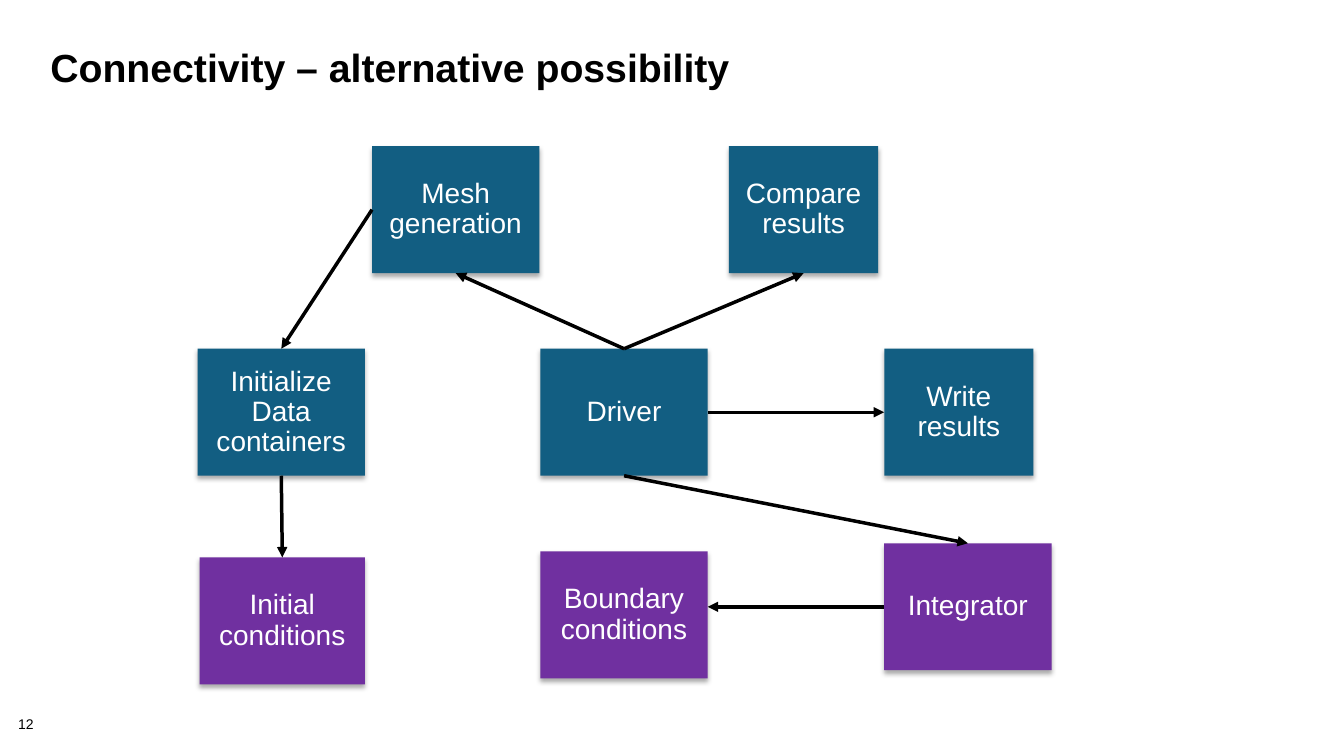
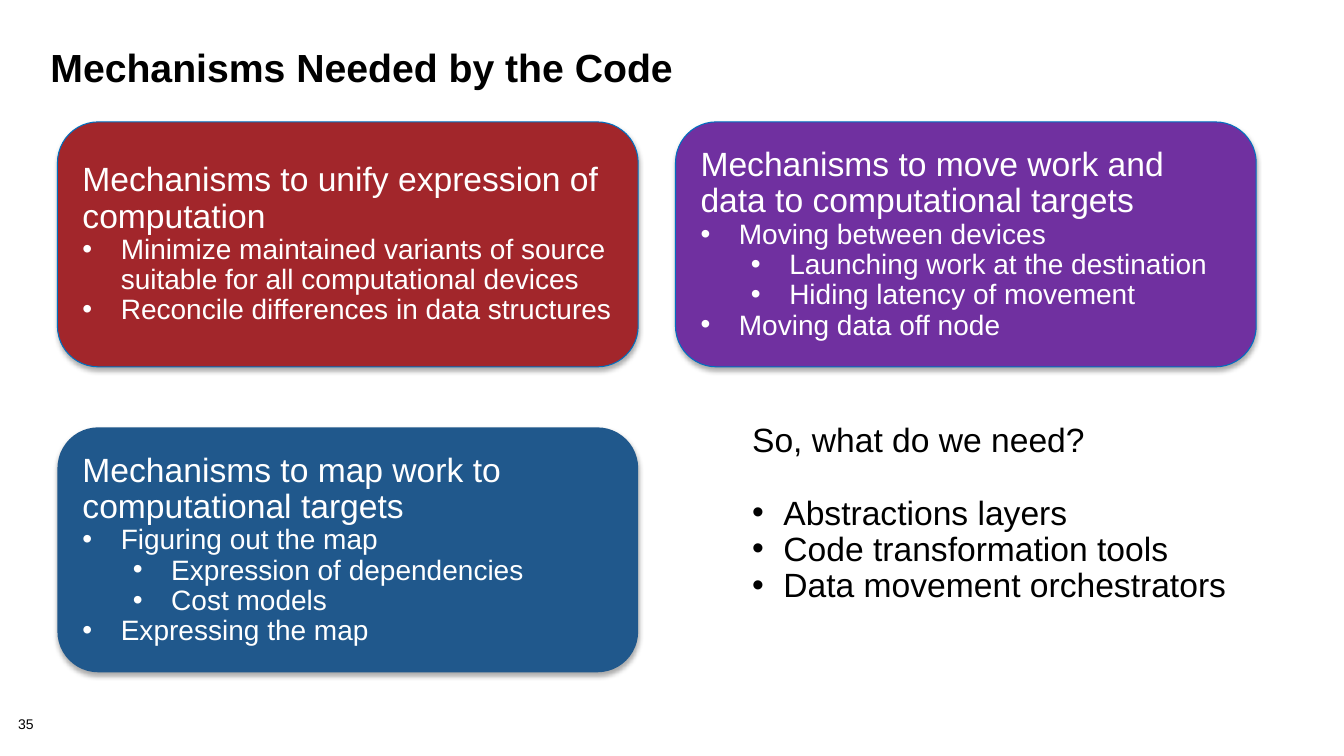
from lxml import etree
from pptx import Presentation
from pptx.dml.color import RGBColor
from pptx.enum.shapes import MSO_CONNECTOR as Connector, MSO_SHAPE as Preset
from pptx.enum.text import MSO_ANCHOR as Anchor, PP_ALIGN as Align
from pptx.oxml.ns import qn
from pptx.util import Inches, Pt

# Shared style
FONT = "Arial"
BLACK, WHITE = "000000", "FFFFFF"
TEAL, PURPLE, RED, BLUE, OUTLINE = "125E82", "7030A0", "A2262B", "20588C", "0070C0"
TOP, LEFT, BOTTOM, RIGHT = range(4)

# Flow grid: three columns and two rows shared by most boxes
COLUMNS = (1.96, 5.36, 8.77)
ROWS = (1.45, 3.46)
BOX_WIDTH, NARROW_WIDTH, BOX_HEIGHT = 1.66, 1.48, 1.26

# Card grid
CARD_LEFT, CARD_TOP = 0.57, 1.21
CARD_WIDTH, CARD_HEIGHT = 5.76, 2.43
CARD_STEP_X, CARD_STEP_Y = 6.13, 3.03

# Each box: left, top, width, fill, paragraphs
BOXES = {
    "initialize": (COLUMNS[0], ROWS[1], BOX_WIDTH, TEAL, ("Initialize", "Data containers")),
    "mesh": (3.69, ROWS[0], BOX_WIDTH, TEAL, ("Mesh generation",)),
    "write": (COLUMNS[2], ROWS[1], NARROW_WIDTH, TEAL, ("Write results",)),
    "compare": (7.23, ROWS[0], NARROW_WIDTH, TEAL, ("Compare results",)),
    "initial": (1.98, 5.53, 1.64, PURPLE, ("Initial conditions",)),
    "boundary": (COLUMNS[1], 5.47, BOX_WIDTH, PURPLE, ("Boundary conditions",)),
    "integrator": (COLUMNS[2], 5.39, BOX_WIDTH, PURPLE, ("Integrator",)),
    "driver": (COLUMNS[1], ROWS[1], BOX_WIDTH, TEAL, ("Driver",)),
}
ARROWS = (
    ("driver", RIGHT, "write", LEFT),
    ("mesh", LEFT, "initialize", TOP),
    ("driver", TOP, "compare", BOTTOM),
    ("driver", TOP, "mesh", BOTTOM),
    ("driver", BOTTOM, "integrator", TOP),
    ("initialize", BOTTOM, "initial", TOP),
)

# Each card: column, row, fill, outline, heading, (level, text) items
CARDS = (
    (0, 1, BLUE, None, "Mechanisms to map work to computational targets",
     ((0, "Figuring out the map"), (1, "Expression of dependencies"),
      (1, "Cost models"), (0, "Expressing the map"))),
    (1, 0, PURPLE, OUTLINE, "Mechanisms to move work and data to computational targets",
     ((0, "Moving between devices"), (1, "Launching work at the destination"),
      (1, "Hiding latency of movement"), (0, "Moving data off node"))),
    (0, 0, RED, OUTLINE, "Mechanisms to unify expression of computation",
     ((0, "Minimize maintained variants of source suitable for all computational devices"),
      (0, "Reconcile differences in data structures"))),
)
NEEDS = ("Abstractions layers", "Code transformation tools", "Data movement orchestrators")


def color(value):
    return RGBColor.from_string(value)


def set_margins(frame, horizontal, vertical):
    frame.margin_left = frame.margin_right = Inches(horizontal)
    frame.margin_top = frame.margin_bottom = Inches(vertical)
    frame.word_wrap = True


def format_paragraph(paragraph, size, text_color, align=Align.LEFT, spacing=0.9, bold=False):
    paragraph.alignment = align
    paragraph.line_spacing = spacing
    font = paragraph.font
    font.name, font.size, font.bold = FONT, Pt(size), bold
    font.color.rgb = color(text_color)


def add_paragraph(frame, text, size, text_color, align=Align.LEFT, level=0, hanging=None):
    """Fill the first paragraph, or append one; hanging gives the bullet indent."""
    first = frame.paragraphs[0]
    paragraph = frame.add_paragraph() if first.runs else first
    paragraph.text = text
    if hanging:
        paragraph.level = level
        properties = paragraph._p.get_or_add_pPr()
        properties.set("marL", str(Inches(hanging + 0.5 * level)))
        properties.set("indent", str(-Inches(hanging)))
        etree.SubElement(properties, qn("a:buFont")).set("typeface", FONT)
        etree.SubElement(properties, qn("a:buChar")).set("char", "•")
    format_paragraph(paragraph, size, text_color, align)
    return paragraph


def add_shadow(shape):
    shape.shadow.inherit = False
    effects = shape._element.spPr.find(qn("a:effectLst"))
    shadow = etree.SubElement(effects, qn("a:outerShdw"), blurRad=str(Pt(3.5)),
                              dist=str(Pt(2.2)), dir="5400000", rotWithShape="0")
    shade = etree.SubElement(shadow, qn("a:srgbClr"), val=BLACK)
    etree.SubElement(shade, qn("a:alpha"), val="32000")


def add_panel(slide, preset, left, top, width, height, fill, outline=None):
    shape = slide.shapes.add_shape(preset, *map(Inches, (left, top, width, height)))
    shape.fill.solid()
    shape.fill.fore_color.rgb = color(fill)
    if outline:
        shape.line.color.rgb = color(outline)
        shape.line.width = Pt(0.75)
    else:
        shape.line.fill.background()
    add_shadow(shape)
    set_margins(shape.text_frame, 0.13, 0.07)
    shape.text_frame.vertical_anchor = Anchor.MIDDLE
    return shape


def side_middle(shape, side):
    x = shape.left + {LEFT: 0, RIGHT: shape.width}.get(side, shape.width // 2)
    y = shape.top + {TOP: 0, BOTTOM: shape.height}.get(side, shape.height // 2)
    return x, y


def add_arrow(slide, source, source_side, target, target_side, level=False):
    """Join two boxes; a level arrow stays horizontal and meets the target off its middle."""
    start, end = side_middle(source, source_side), side_middle(target, target_side)
    if level:
        end = end[0], start[1]
    arrow = slide.shapes.add_connector(Connector.STRAIGHT, *start, *end)
    arrow.begin_connect(source, source_side)
    if not level:
        arrow.end_connect(target, target_side)
    arrow.line.color.rgb = color(BLACK)
    arrow.line.width = Pt(2.5)
    etree.SubElement(arrow.line._get_or_add_ln(), qn("a:tailEnd"), type="triangle")
    etree.SubElement(arrow._element.spPr, qn("a:effectLst"))


def add_slide(presentation, title_text, number):
    slide = presentation.slides.add_slide(presentation.slide_layouts[5])
    # Title
    title = slide.shapes.title
    title.left, title.top, title.width, title.height = map(Inches, (0.4, 0.45, 12.44, 1))
    title.text = title_text
    title.text_frame.vertical_anchor = Anchor.TOP
    set_margins(title.text_frame, 0.1, 0.05)
    format_paragraph(title.text_frame.paragraphs[0], 28, BLACK, spacing=0.85, bold=True)
    # Page number
    footer = slide.shapes.add_textbox(*map(Inches, (0.18, 7.12, 0.56, 0.16)))
    set_margins(footer.text_frame, 0, 0)
    add_paragraph(footer.text_frame, str(number), 10, BLACK)
    return slide


def build_connectivity(presentation):
    slide = add_slide(presentation, "Connectivity – alternative possibility", 12)
    boxes = {}
    for name, (left, top, width, fill, lines) in BOXES.items():
        boxes[name] = add_panel(slide, Preset.RECTANGLE, left, top, width, BOX_HEIGHT, fill)
        for line in lines:
            add_paragraph(boxes[name].text_frame, line, 20, WHITE, Align.CENTER)
    add_arrow(slide, boxes["integrator"], LEFT, boxes["boundary"], RIGHT, level=True)
    for source, source_side, target, target_side in ARROWS:
        add_arrow(slide, boxes[source], source_side, boxes[target], target_side)


def build_mechanisms(presentation):
    slide = add_slide(presentation, "Mechanisms Needed by the Code", 35)
    # Cards
    for column, row, fill, outline, heading, items in CARDS:
        card = add_panel(slide, Preset.ROUNDED_RECTANGLE, CARD_LEFT + column * CARD_STEP_X,
                         CARD_TOP + row * CARD_STEP_Y, CARD_WIDTH, CARD_HEIGHT, fill, outline)
        add_paragraph(card.text_frame, heading, 24, WHITE)
        for level, text in items:
            add_paragraph(card.text_frame, text, 20, WHITE, level=level, hanging=0.38)
    # Open question
    question = slide.shapes.add_textbox(*map(Inches, (7.33, 4.09, 5.01, 2.02)))
    frame = question.text_frame
    set_margins(frame, 0.13, 0.1)
    frame.vertical_anchor = Anchor.MIDDLE
    add_paragraph(frame, "So, what do we need?", 24, BLACK)
    needs = [add_paragraph(frame, need, 24, BLACK, hanging=0.31) for need in NEEDS]
    needs[0].space_before = Pt(26)


def main():
    presentation = Presentation()
    presentation.slide_width, presentation.slide_height = Inches(13.33), Inches(7.5)
    build_connectivity(presentation)
    build_mechanisms(presentation)
    presentation.save("out.pptx")


if __name__ == "__main__":
    main()
